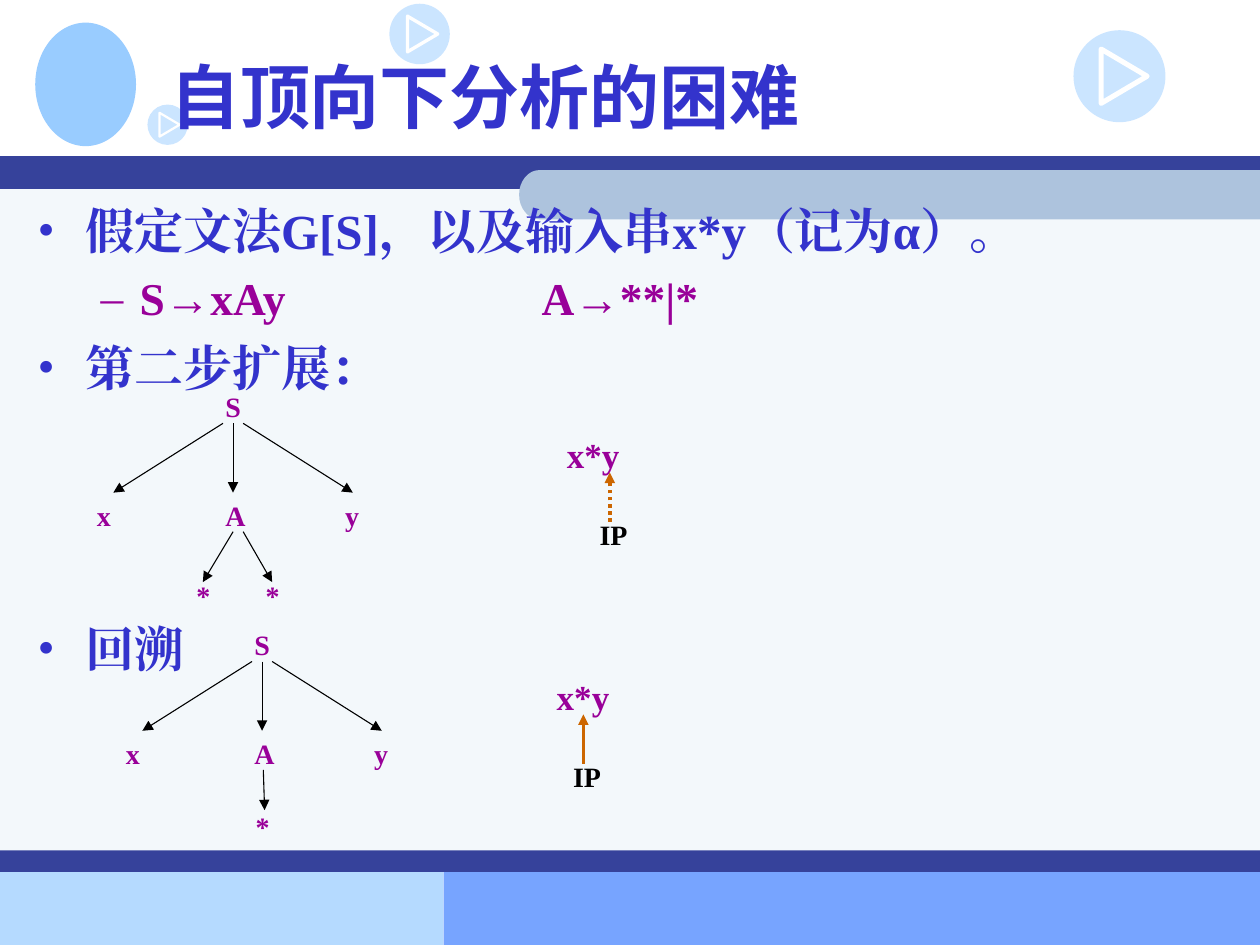
from math import cos, pi, sin

from lxml import etree
from pptx import Presentation
from pptx.dml.color import RGBColor
from pptx.enum.dml import MSO_LINE
from pptx.enum.shapes import MSO_CONNECTOR, MSO_SHAPE
from pptx.enum.text import MSO_ANCHOR, PP_ALIGN
from pptx.oxml.ns import qn
from pptx.util import Inches, Pt

RECT = MSO_SHAPE.RECTANGLE
OVAL = MSO_SHAPE.OVAL
TRIANGLE = MSO_SHAPE.ISOSCELES_TRIANGLE
STRAIGHT = MSO_CONNECTOR.STRAIGHT
DOTTED = MSO_LINE.ROUND_DOT
MIDDLE = MSO_ANCHOR.MIDDLE
TOP = MSO_ANCHOR.TOP
LEFT = PP_ALIGN.LEFT

SERIF = "Times New Roman"
SANS = "Noto Sans CJK SC"
COLORS = {
    "white": "FFFFFF", "black": "000000", "blue": "3333CC",
    "purple": "990099", "orange": "CC6600", "navy": "36429B",
    "panel": "F3F8FB", "tab": "ADC3DD", "sky": "99CCFF",
    "footer_left": "B5DAFF", "footer_right": "77A4FF",
}


def rgb(name):
    return RGBColor.from_string(COLORS[name])


def add_text(paragraph, text, size=16, color="purple", font=SERIF):
    paragraph.alignment = LEFT
    run = paragraph.add_run()
    run.text = text
    run.font.size = Pt(size)
    run.font.bold = True
    run.font.name = font
    run.font.color.rgb = rgb(color)
    etree.SubElement(run.font._element, qn("a:ea"), typeface=font)


class SlideBuilder:
    def __init__(self, slide):
        self.slide = slide
        self.shapes = slide.shapes

    def paint(self, shape, fill):
        shape.shadow.inherit = False
        shape.line.fill.background()
        shape.fill.solid()
        shape.fill.fore_color.rgb = rgb(fill)
        return shape

    def block(self, x, y, w, h, fill, preset=RECT):
        shape = self.shapes.add_shape(preset, Inches(x), Inches(y), Inches(w), Inches(h))
        return self.paint(shape, fill)

    def rounded_tab(self, x, y, right, height, fill):
        rx, ry = 0.16, height / 2
        angles = [pi / 2 + pi * step / 16 for step in range(17)]
        curve = [(x + rx + rx * cos(a), y + ry - ry * sin(a)) for a in angles]
        outline = self.shapes.build_freeform(Inches(right), Inches(y), scale=1.0)
        points = curve + [(right, y + height)]
        outline.add_line_segments([(Inches(px), Inches(py)) for px, py in points])
        self.paint(outline.convert_to_shape(), fill)

    def play_icon(self, x, y, size):
        disc = self.block(x, y, size, size, "sky", OVAL)
        color = disc.fill._xPr.find(qn("a:solidFill"))[0]
        etree.SubElement(color, qn("a:alpha"), val="50000")
        base, height = size * 0.59, size * 0.5
        center_x, center_y = x + size * 0.55, y + size / 2
        arrow = self.shapes.add_shape(
            TRIANGLE, Inches(center_x - base / 2), Inches(center_y - height / 2),
            Inches(base), Inches(height))
        arrow.rotation = 90
        arrow.shadow.inherit = False
        arrow.fill.background()
        arrow.line.color.rgb = rgb("white")
        arrow.line.width = Pt(size * 4)

    def title(self, text, x, y, w, h):
        title = self.shapes.title
        title.left, title.top = Inches(x), Inches(y)
        title.width, title.height = Inches(w), Inches(h)
        title.text_frame.vertical_anchor = MIDDLE
        add_text(title.text_frame.paragraphs[0], text, size=40, color="blue", font=SANS)
        title.element.getparent().append(title.element)

    def label(self, text, x, y, w, h=0.37, **style):
        box = self.shapes.add_textbox(Inches(x), Inches(y), Inches(w), Inches(h))
        box.text_frame.word_wrap = False
        add_text(box.text_frame.paragraphs[0], text, **style)

    def bullets(self, items, x, y, w, h):
        box = self.shapes.add_textbox(Inches(x), Inches(y), Inches(w), Inches(h))
        frame = box.text_frame
        frame.word_wrap = True
        frame.vertical_anchor = TOP
        for index, (text, level, gap) in enumerate(items):
            paragraph = frame.add_paragraph() if index else frame.paragraphs[0]
            size, color, mark, margin, indent = (
                (28, "blue", "•", 0.38, -0.38), (26, "purple", "–", 0.81, -0.31))[level]
            add_text(paragraph, text, size=size, color=color)
            paragraph.level = level
            paragraph.space_before = Pt(gap)
            props = paragraph._p.get_or_add_pPr()
            props.set("marL", str(Inches(margin)))
            props.set("indent", str(Inches(indent)))
            bullet_color = etree.SubElement(props, qn("a:buClr"))
            etree.SubElement(bullet_color, qn("a:srgbClr"), val=COLORS[color])
            etree.SubElement(props, qn("a:buFont"), typeface=SERIF)
            etree.SubElement(props, qn("a:buChar"), char=mark)
            stops = etree.SubElement(props, qn("a:tabLst"))
            for inch in range(1, 9):
                etree.SubElement(stops, qn("a:tab"), pos=str(Inches(inch)), algn="l")

    def arrow(self, x1, y1, x2, y2, color="black", width=0.62, dash=None):
        line = self.shapes.add_connector(
            STRAIGHT, Inches(x1), Inches(y1), Inches(x2), Inches(y2))
        line.line.color.rgb = rgb(color)
        line.line.width = Pt(width)
        if dash:
            line.line.dash_style = dash
        etree.SubElement(line.line._get_or_add_ln(), qn("a:tailEnd"), type="triangle")
        etree.SubElement(line._element.spPr, qn("a:effectLst"))

    def syntax_tree(self, x, y):
        self.label("S", x, y, 0.32)
        for start, end in ((0.08, -0.79), (0.16, 0.16), (0.24, 1.11)):
            self.arrow(x + start, y + 0.32, x + end, y + 0.87)
        for symbol, offset, width in (("x", -1.02, 0.31), ("A", 0, 0.36), ("y", 0.95, 0.32)):
            self.label(symbol, x + offset, y + 0.87, width)

    def input_pointer(self, text_x, text_y, pointer_x, dash=None):
        self.label("x*y", text_x, text_y, 0.79, 0.44, size=20)
        self.arrow(pointer_x, text_y + 0.75, pointer_x, text_y + 0.36, "orange", 2, dash)
        self.label("IP", pointer_x - 0.18, text_y + 0.67, 0.42, color="black")


def main():
    presentation = Presentation()
    presentation.slide_width, presentation.slide_height = Inches(10), Inches(7.5)
    page = SlideBuilder(presentation.slides.add_slide(presentation.slide_layouts[5]))

    page.block(0, 6.92, 3.52, 0.58, "footer_left")
    page.block(3.52, 6.91, 6.48, 0.59, "footer_right")
    page.block(0, 1.4, 10, 5.51, "panel")
    page.block(0, 1.24, 10, 0.26, "navy")
    page.rounded_tab(4.12, 1.35, 10, 0.39, "tab")
    page.block(0.28, 0.18, 0.8, 0.98, "sky", OVAL)
    page.block(0, 6.75, 10, 0.17, "navy")
    for icon in ((3.09, 0.03, 0.48), (8.52, 0.24, 0.73), (1.17, 0.83, 0.32)):
        page.play_icon(*icon)

    page.title("自顶向下分析的困难", 1.25, 0.17, 8.5, 1.17)
    page.bullets([
        ("假定文法G[S]，以及输入串x*y（记为α）。", 0, 7),
        ("S→xAy\t\t\tA→**|*", 1, 6.5),
        ("第二步扩展：", 0, 7),
        ("回溯", 0, 127),
    ], 0.2, 1.54, 9.61, 4.96)

    page.input_pointer(4.4, 3.39, 4.84, DOTTED)
    page.input_pointer(4.32, 5.31, 4.63)

    page.syntax_tree(1.69, 3.04)
    for start, end in ((1.85, 1.61), (1.93, 2.16)):
        page.arrow(start, 4.22, end, 4.62)
        page.label("*", end - 0.15, 4.54, 0.32)

    page.syntax_tree(1.92, 4.93)
    page.arrow(2.09, 6.11, 2.1, 6.43)
    page.label("*", 1.93, 6.38, 0.32)

    presentation.save("out.pptx")


if __name__ == "__main__":
    main()
